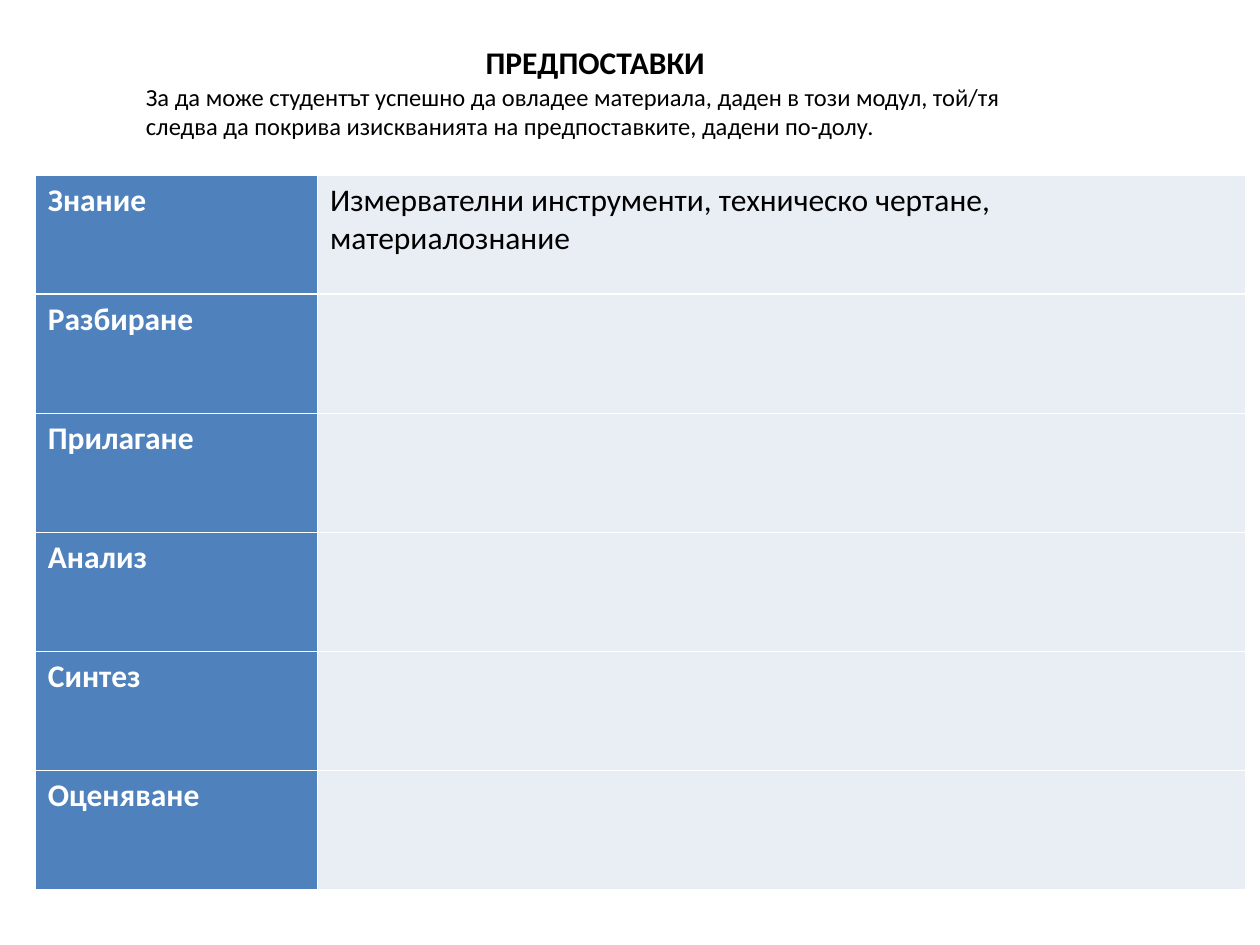
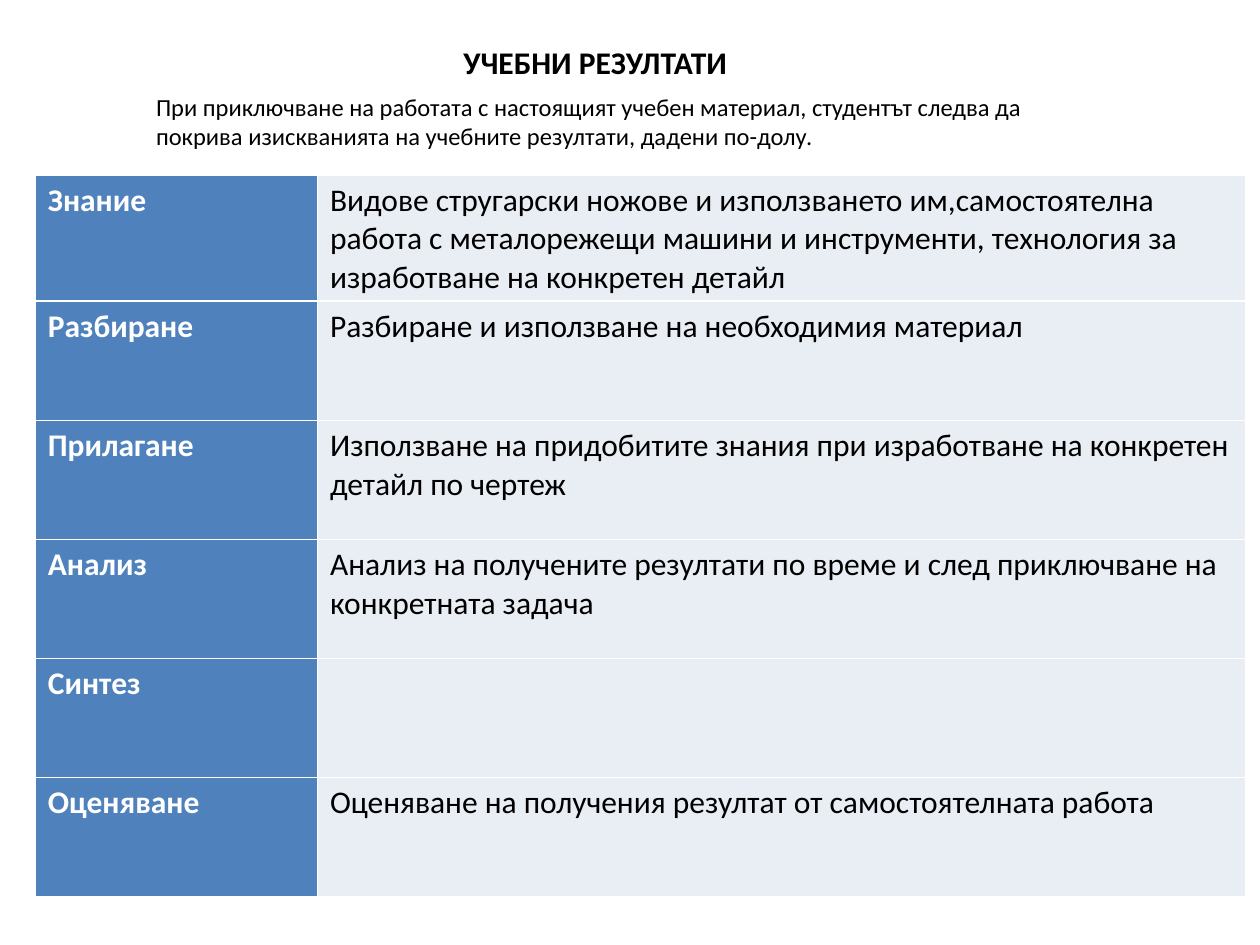
from dataclasses import dataclass

from lxml.etree import SubElement
from pptx import Presentation
from pptx.dml.color import RGBColor
from pptx.enum.text import MSO_ANCHOR, MSO_AUTO_SIZE, PP_ALIGN
from pptx.oxml.ns import qn
from pptx.util import Inches, Pt


@dataclass(frozen=True)
class Theme:
    font: str = "Calibri"
    text: str = "000000"
    white: str = "FFFFFF"
    level_fill: str = "4F81BD"
    detail_fill: str = "E9EDF4"
    large: int = 18
    small: int = 14


theme = Theme()

LEVELS = ["Знание", "Разбиране", "Прилагане", "Анализ", "Синтез", "Оценяване"]

# Title, intro, intro position (left, top), details by level
SLIDES = [
    ("ПРЕДПОСТАВКИ",
     "За да може студентът успешно да овладее материала, даден в този модул, "
     "той/тя следва да покрива изискванията на предпоставките, дадени по-долу.",
     (1.06, 0.6),
     {"Знание": "Измервателни инструменти, техническо чертане, материалознание"}),
    ("УЧЕБНИ РЕЗУЛТАТИ",
     "При приключване на работата с настоящият учебен материал, студентът следва "
     "да покрива изискванията на учебните резултати, дадени по-долу.",
     (1.14, 0.68),
     {"Знание": "Видове стругарски ножове и използването им,самостоятелна работа с "
                "металорежещи машини и инструменти, технология за изработване на "
                "конкретен детайл",
      "Разбиране": "Разбиране и използване на необходимия материал",
      "Прилагане": "Използване на придобитите знания при изработване на конкретен "
                   "детайл по чертеж",
      "Анализ": "Анализ на получените резултати по време и след приключване на "
                "конкретната задача",
      "Оценяване": "Оценяване на получения резултат от самостоятелната работа"}),
]


def write(tf, text, size, color=theme.text, bold=False, align=PP_ALIGN.LEFT):
    tf.word_wrap = True
    p = tf.paragraphs[0]
    p.alignment = align
    r = p.add_run()
    r.text = text
    r.font.name = theme.font
    r.font.size = Pt(size)
    r.font.bold = bold
    r.font.color.rgb = RGBColor.from_string(color)


def style_cell(cell, fill):
    # Borders precede the fill in the cell properties
    tc_pr = cell._tc.get_or_add_tcPr()
    for side in ("a:lnL", "a:lnR", "a:lnT", "a:lnB"):
        ln = SubElement(tc_pr, qn(side), w=str(Pt(1)))
        SubElement(SubElement(ln, qn("a:solidFill")), qn("a:srgbClr"), val=theme.white)
    cell.fill.solid()
    cell.fill.fore_color.rgb = RGBColor.from_string(fill)


prs = Presentation()
prs.slide_width, prs.slide_height = Inches(10), Inches(7.5)

for title, intro, (left, top), details in SLIDES:
    s = prs.slides.add_slide(prs.slide_layouts[5])

    # Table of levels
    table = s.shapes.add_table(len(LEVELS), 2, Inches(0.28), Inches(1.39),
                               Inches(9.61), Inches(5.67)).table
    table.first_row = table.horz_banding = False
    table.columns[0].width = Inches(2.24)
    table.columns[1].width = Inches(7.37)
    for row, level in enumerate(LEVELS):
        name, detail = table.cell(row, 0), table.cell(row, 1)
        style_cell(name, theme.level_fill)
        style_cell(detail, theme.detail_fill)
        write(name.text_frame, level, theme.large, theme.white, bold=True)
        if level in details:
            write(detail.text_frame, details[level], theme.large)

    # Title
    sp = s.shapes.title
    sp.left, sp.top, sp.width, sp.height = (Inches(v) for v in (1.14, 0.29, 7.17, 0.4))
    tf = sp.text_frame
    tf.vertical_anchor = MSO_ANCHOR.TOP
    tf.auto_size = MSO_AUTO_SIZE.SHAPE_TO_FIT_TEXT
    write(tf, title, theme.large, bold=True, align=PP_ALIGN.CENTER)

    # Intro
    tf = s.shapes.add_textbox(Inches(left), Inches(top), Inches(7.17), Inches(0.57)).text_frame
    tf.auto_size = MSO_AUTO_SIZE.SHAPE_TO_FIT_TEXT
    write(tf, intro, theme.small)

prs.save("out.pptx")
